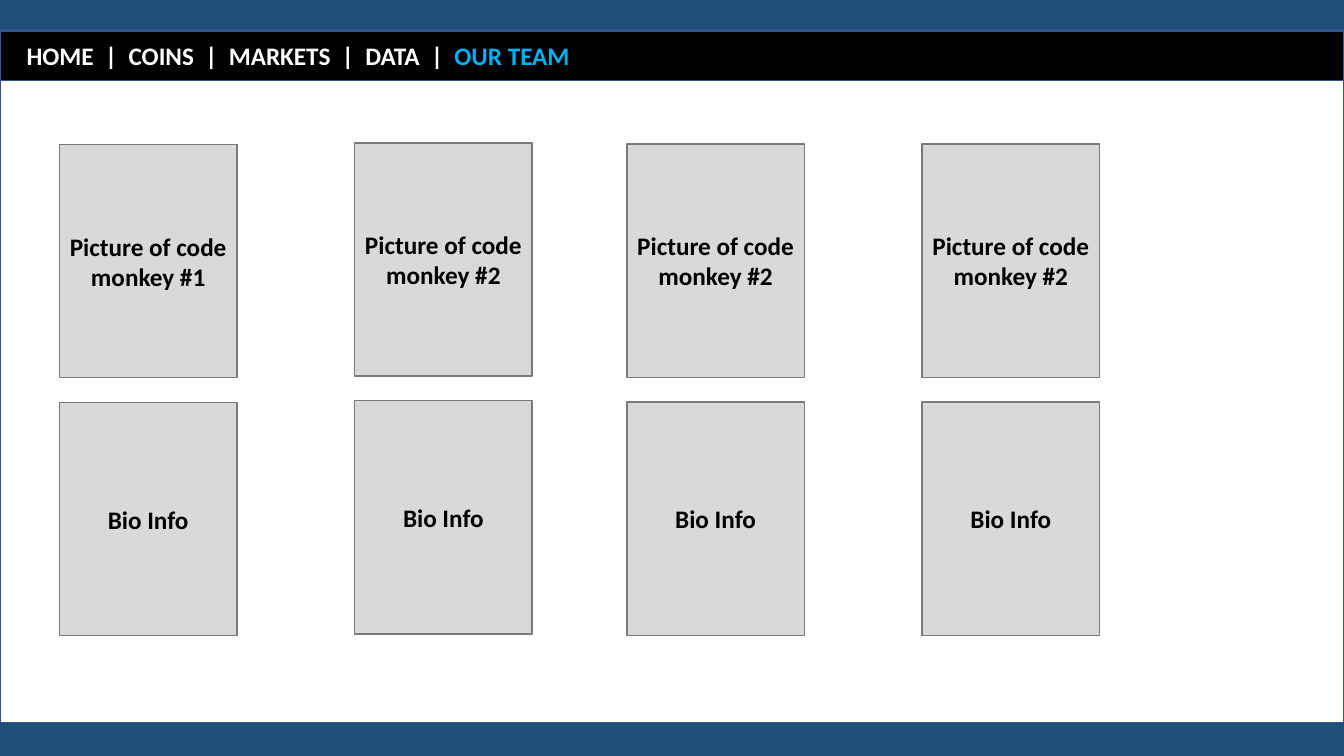
from dataclasses import dataclass

from pptx import Presentation
from pptx.dml.color import RGBColor
from pptx.enum.shapes import MSO_SHAPE
from pptx.enum.text import MSO_ANCHOR, PP_ALIGN
from pptx.shapes.autoshape import Shape
from pptx.slide import Slide
from pptx.util import Cm, Pt

NAVY, WHITE, BLACK = "1F4E79", "FFFFFF", "000000"
FRAME_BLUE, ACTIVE_BLUE = "325491", "00B0F0"
CARD_GRAY, BORDER_GRAY = "D9D9D9", "7A7A7A"
TEXT_FORMAT = {"name": "Calibri", "size": Pt(18), "bold": True}

SLIDE_W, SLIDE_H = 33.87, 19.05
CARD_W, CARD_H, CARD_PITCH = 4.47, 5.88, 6.5
NAV_ITEMS = ["HOME", "COINS", "MARKETS", "DATA", "OUR TEAM"]
EXTRA_SPACE = "407"


@dataclass
class Box:
    left: float
    top: float
    width: float
    height: float
    fill: str
    line: str


@dataclass
class Member:
    left: float
    top: float
    number: int


def rgb(value: str) -> RGBColor:
    return RGBColor.from_string(value)


def add_box(slide: Slide, box: Box) -> Shape:
    lengths = [Cm(v) for v in (box.left, box.top, box.width, box.height)]
    sp = slide.shapes.add_shape(MSO_SHAPE.RECTANGLE, *lengths)
    sp.shadow.inherit = False
    sp.fill.solid()
    sp.fill.fore_color.rgb = rgb(box.fill)
    sp.line.color.rgb = rgb(box.line)
    sp.line.width = Pt(1)
    sp.text_frame.vertical_anchor = MSO_ANCHOR.MIDDLE
    return sp


def add_run(sp: Shape, text: str, color: str, spacing: str = "0") -> None:
    r = sp.text_frame.paragraphs[0].add_run()
    r.text = text
    for name, value in TEXT_FORMAT.items():
        setattr(r.font, name, value)
    r.font.color.rgb = rgb(color)
    r._r.get_or_add_rPr().set("spc", spacing)


def add_nav(slide: Slide) -> None:
    sp = add_box(slide, Box(0, 0.79, SLIDE_W, 1.24, BLACK, FRAME_BLUE))
    sp.text_frame.margin_left = Cm(0.67)
    sp.text_frame.paragraphs[0].alignment = PP_ALIGN.LEFT
    first, *middle, active = NAV_ITEMS
    add_run(sp, first, WHITE)
    for item in middle:
        add_run(sp, " |", WHITE, EXTRA_SPACE)
        add_run(sp, f" {item}", WHITE)
    add_run(sp, " |", WHITE, EXTRA_SPACE)
    add_run(sp, f" {active}", ACTIVE_BLUE)


def add_member(slide: Slide, member: Member) -> None:
    labels = [f"Picture of code monkey #{member.number}", "Bio Info"]
    for row, label in enumerate(labels):
        top = member.top + row * CARD_PITCH
        sp = add_box(slide, Box(member.left, top, CARD_W, CARD_H, CARD_GRAY, BORDER_GRAY))
        sp.text_frame.word_wrap = True
        sp.text_frame.paragraphs[0].alignment = PP_ALIGN.CENTER
        add_run(sp, label, BLACK)


prs = Presentation()
prs.slide_width, prs.slide_height = Cm(SLIDE_W), Cm(SLIDE_H)
slide = prs.slides.add_slide(prs.slide_layouts[6])
slide.background.fill.solid()
slide.background.fill.fore_color.rgb = rgb(NAVY)

add_box(slide, Box(0, 0.76, SLIDE_W, 17.45, WHITE, FRAME_BLUE))
add_nav(slide)
for member in [
    Member(1.5, 3.64, 1),
    Member(8.94, 3.6, 2),
    Member(15.8, 3.63, 2),
    Member(23.24, 3.63, 2),
]:
    add_member(slide, member)

prs.save("out.pptx")
